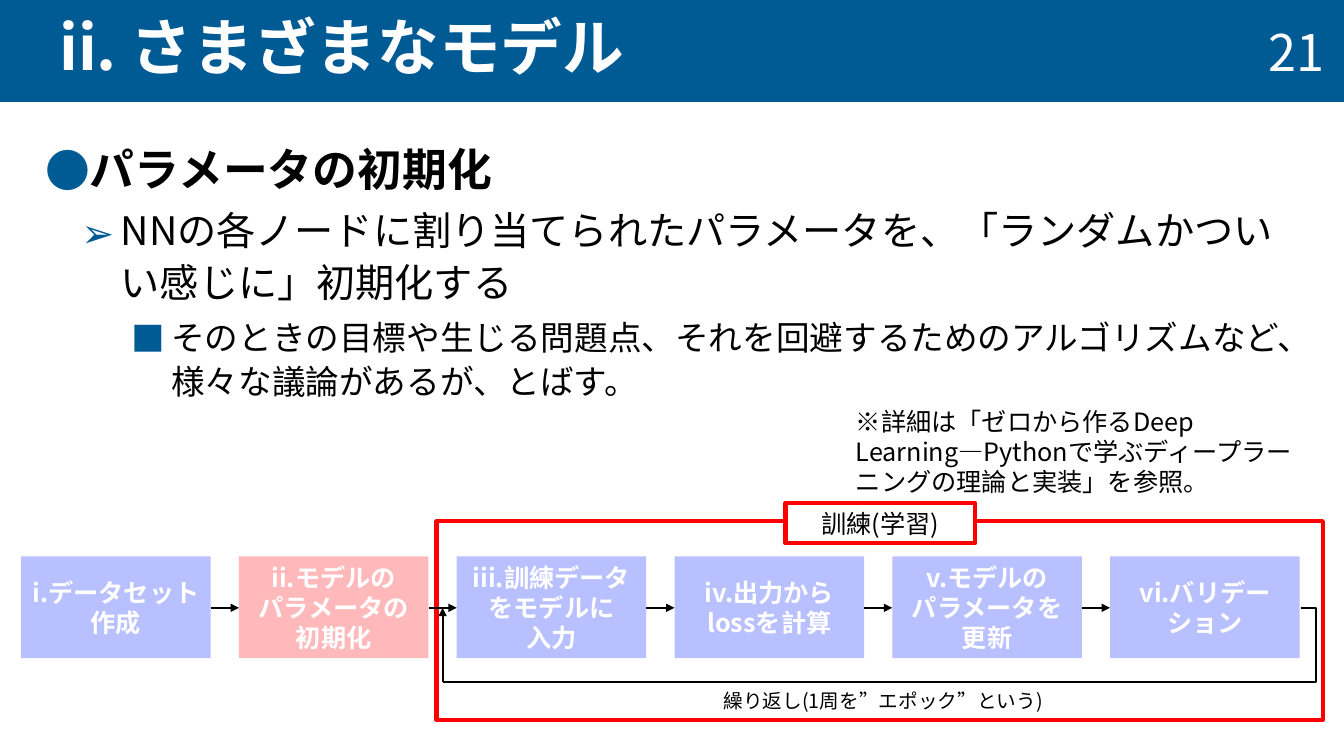
from dataclasses import dataclass

from lxml import etree
from pptx import Presentation, util as u
from pptx.dml import color
from pptx.enum import shapes, text
from pptx.oxml import ns

Inches, Pt = u.Inches, u.Pt
Align, Anchor = text.PP_ALIGN, text.MSO_ANCHOR


@dataclass(frozen=True)
class Theme:
    font: str = "Noto Sans CJK JP"
    brand: str = "005B94"
    white: str = "FFFFFF"
    black: str = "000000"
    frame: str = "FF0000"
    step: str = "7582FF"
    current: str = "FF7578"
    title: int = 44
    number: int = 36
    levels: tuple = (32, 28, 24)
    label: int = 18
    caption: int = 14


def rgb(value):
    return color.RGBColor.from_string(value)


def add_xml(parent, tag, **attributes):
    return etree.SubElement(parent, ns.qn(tag), attributes)


class SlideBuilder:
    def __init__(self, slide, theme):
        self.shapes, self.theme = slide.shapes, theme

    def style(self, paragraph, size, ink, bold=False, align=Align.LEFT):
        font = paragraph.font
        font.size, font.bold, font.name = Pt(size), bold, self.theme.font
        font.color.rgb = rgb(ink)
        paragraph.alignment = align
        east_asian = etree.Element(ns.qn("a:ea"), typeface=self.theme.font)
        paragraph._p.pPr.find(".//" + ns.qn("a:latin")).addnext(east_asian)

    def label(self, holder, paragraphs, size, ink, bold=False, align=Align.LEFT,
              anchor=Anchor.TOP, left=0.1, right=0.1):
        frame = holder.text_frame
        frame.word_wrap, frame.vertical_anchor = True, anchor
        frame.margin_left, frame.margin_right = Inches(left), Inches(right)
        for i, content in enumerate(paragraphs):
            paragraph = frame.add_paragraph() if i else frame.paragraphs[0]
            paragraph.text = content
            self.style(paragraph, size, ink, bold, align)
        return frame

    def text(self, box, paragraphs, size, ink, **options):
        holder = self.shapes.add_textbox(*map(Inches, box))
        return self.label(holder, paragraphs, size, ink, **options)

    def rect(self, box, fill=None, outline=None, alpha=None):
        rect = self.shapes.add_shape(shapes.MSO_SHAPE.RECTANGLE, *map(Inches, box))
        rect.shadow.inherit = False
        if fill:
            rect.fill.solid()
            rect.fill.fore_color.rgb = rgb(fill)
        else:
            rect.fill.background()
        if alpha:
            tint = rect._element.spPr.find(".//" + ns.qn("a:srgbClr"))
            add_xml(tint, "a:alpha", val=str(alpha * 1000))
        if outline:
            rect.line.color.rgb = rgb(outline)
            rect.line.width = Pt(3)
        else:
            rect.line.fill.background()
        return rect

    def line(self, start, end, arrow=True, bend=None):
        kind = shapes.MSO_CONNECTOR.STRAIGHT if bend is None else shapes.MSO_CONNECTOR.ELBOW
        line = self.shapes.add_connector(kind, *map(Inches, start + end))
        line.line.color.rgb = rgb(self.theme.black)
        line.line.width = Pt(1.5)
        properties = line._element.spPr
        if arrow:
            add_xml(properties.find(ns.qn("a:ln")), "a:tailEnd", type="triangle")
        if bend is not None:
            guides = properties.find(".//" + ns.qn("a:avLst"))
            add_xml(guides, "a:gd", name="adj1", fmla=f"val {round(bend * 100000)}")
        add_xml(properties, "a:effectLst")

    def bullets(self, box, items):
        frame = self.text(box, [], 0, self.theme.black)
        for level, (content, mark, margin, hanging) in enumerate(items):
            paragraph = frame.add_paragraph() if level else frame.paragraphs[0]
            paragraph.text, paragraph.level = content, level
            layout = paragraph._p.get_or_add_pPr()
            layout.set("marL", str(Inches(margin)))
            layout.set("indent", str(Inches(-hanging)))
            add_xml(add_xml(layout, "a:buClr"), "a:srgbClr", val=self.theme.brand)
            add_xml(layout, "a:buFont", typeface=self.theme.font)
            add_xml(layout, "a:buChar", char=mark)
            paragraph.line_spacing = 1.1
            paragraph.space_before = Pt(5 if level else 10)
            self.style(paragraph, self.theme.levels[level], self.theme.black, bold=level == 0)


def main():
    deck = Presentation()
    deck.slide_width, deck.slide_height = Inches(13.33), Inches(7.5)
    theme = Theme()
    page = SlideBuilder(deck.slides.add_slide(deck.slide_layouts[6]), theme)

    # Header
    header = page.rect((0, 0, 13.33, 1.01), theme.brand)
    heading = page.label(header, ["ii. さまざまなモデル"], theme.title, theme.white, bold=True,
                         anchor=Anchor.MIDDLE, left=0.59, right=0.2)
    heading.paragraphs[0].line_spacing = 0.9
    page.text((11.4, 0, 1.94, 1.01), ["21"], theme.number, theme.white,
              align=Align.RIGHT, anchor=Anchor.MIDDLE, right=0.2)

    # Explanation and reference
    page.bullets((0.35, 1.3, 12.64, 5.93), [
        ("パラメータの初期化", "●", 0.25, 0.51),
        ("NNの各ノードに割り当てられたパラメータを、「ランダムかついい感じに」初期化する",
         "➢", 0.75, 0.39),
        ("そのときの目標や生じる問題点、それを回避するためのアルゴリズムなど、"
         "様々な議論があるが、とばす。", "■", 1.25, 0.39),
    ])
    page.text((8.39, 3.98, 4.73, 1.01),
              ["※詳細は「ゼロから作るDeep Learning―Pythonで学ぶ"
               "ディープラーニングの理論と実装」を参照。"], theme.label, theme.black)

    # Training frame
    page.rect((4.33, 5.17, 8.79, 1.97), outline=theme.frame)

    # Workflow steps, each joined to the next
    steps = [
        ["i.データセット", "作成"],
        ["ii.モデルの\nパラメータの", "初期化"],
        ["iii.訓練データ", "をモデルに\n入力"],
        ["iv.出力からlossを計算"],
        ["v.モデルの", "パラメータを更新"],
        ["vi.バリデーション"],
    ]
    first, pitch, width, top, height = 0.21, 2.16, 1.88, 5.52, 1.01
    middle, current = 6.03, 1
    for i, caption in enumerate(steps):
        left = first + i * pitch
        step = page.rect((left, top, width, height),
                         theme.current if i == current else theme.step, alpha=50)
        page.label(step, caption, theme.label, theme.white, bold=True,
                   align=Align.CENTER, anchor=Anchor.MIDDLE)
        if i:
            page.line((left - pitch + width, middle), (left, middle))

    # Epoch loop back to the first training step
    loop_start, loop_end, loop_bottom = 12.9, 4.39, 6.77
    page.line((loop_start, middle), (loop_end, loop_bottom), arrow=False, bend=-0.018)
    page.line((loop_end, loop_bottom), (loop_end, middle))

    # Frame label and loop caption
    training = page.rect((7.79, 4.99, 1.88, 0.4), theme.white, theme.frame)
    page.label(training, ["訓練(学習)"], theme.label, theme.black, align=Align.CENTER)
    page.text((7.08, 6.79, 4.07, 0.34), ["繰り返し(1周を”エポック”という)"],
              theme.caption, theme.black)

    deck.save("out.pptx")


if __name__ == "__main__":
    main()
